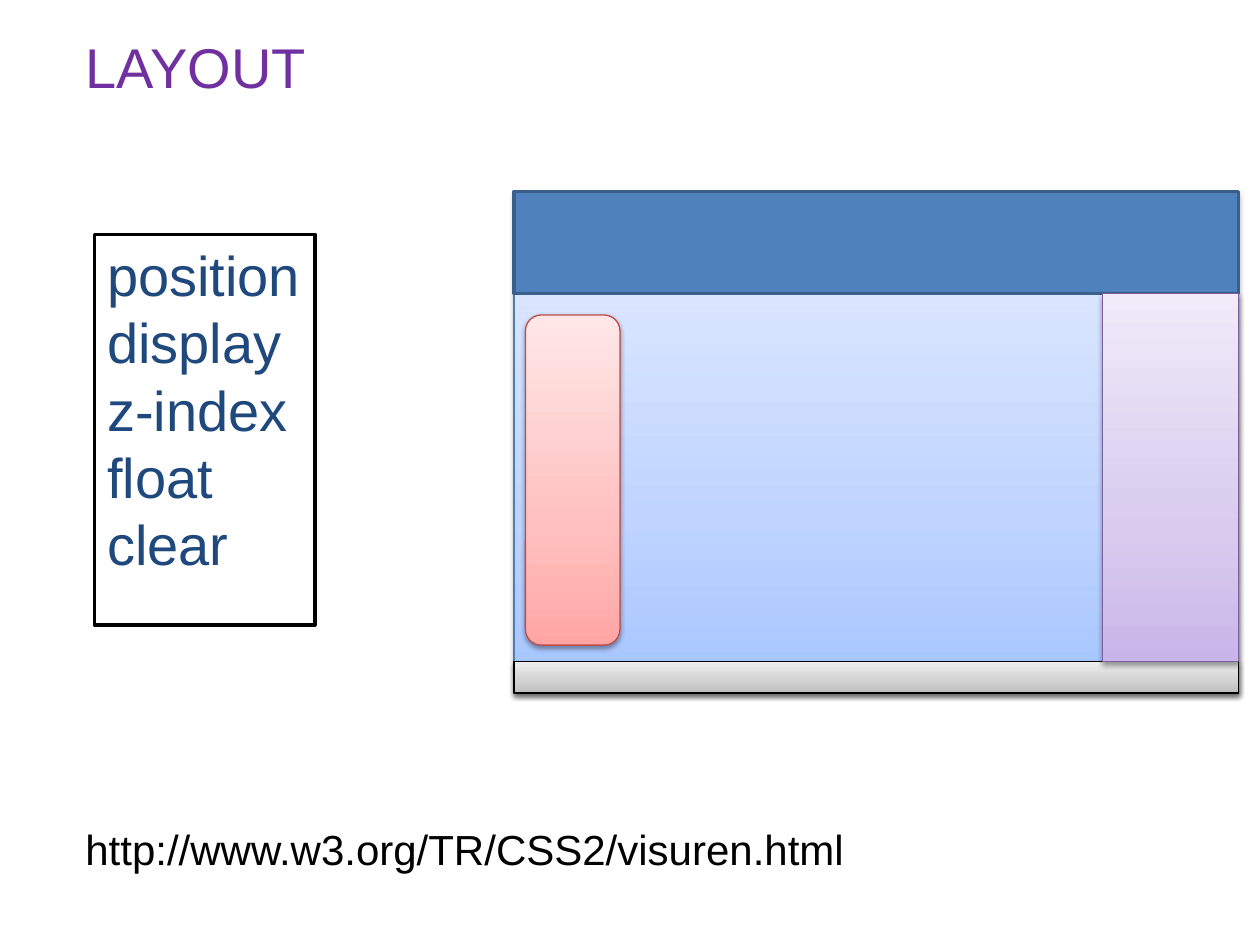
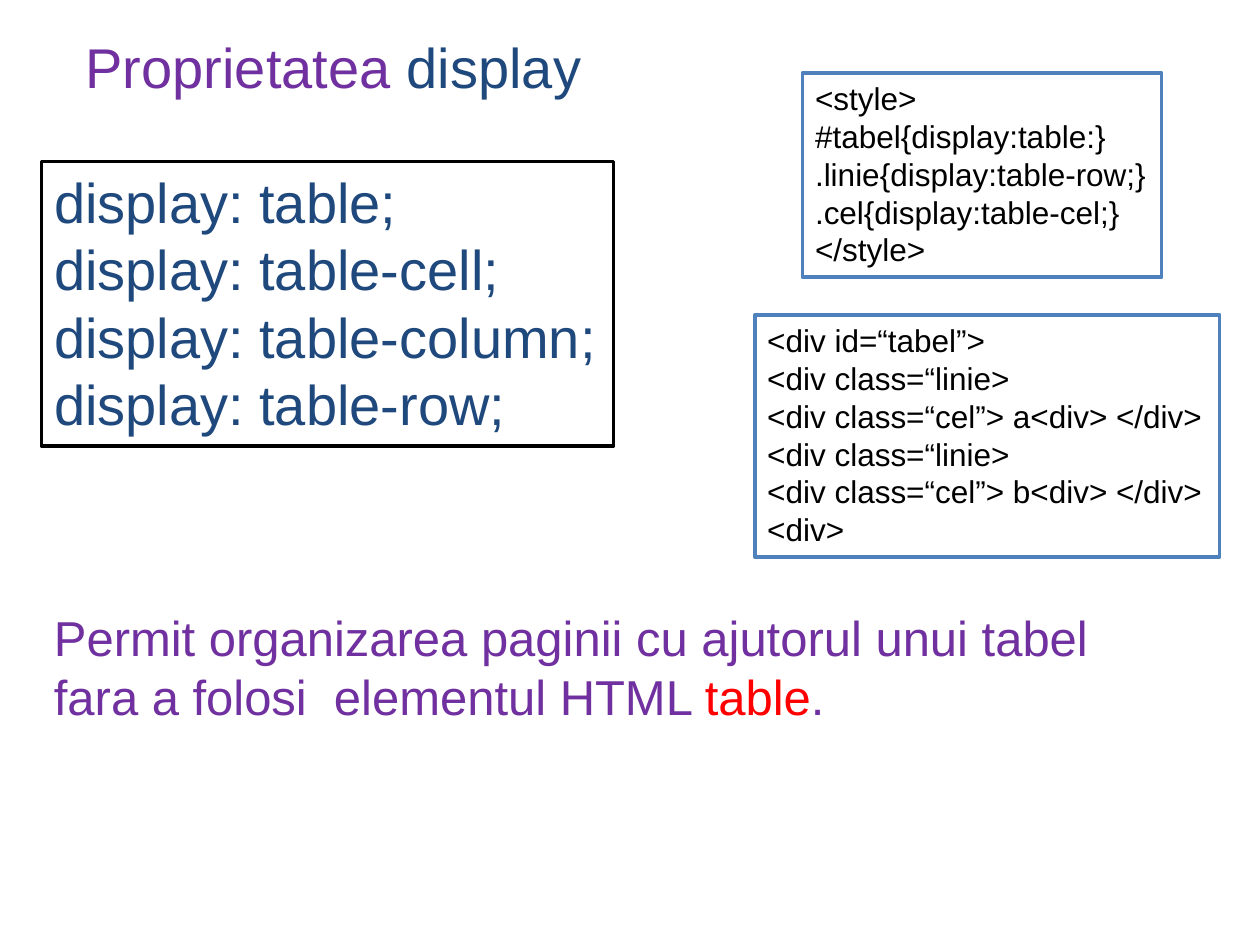
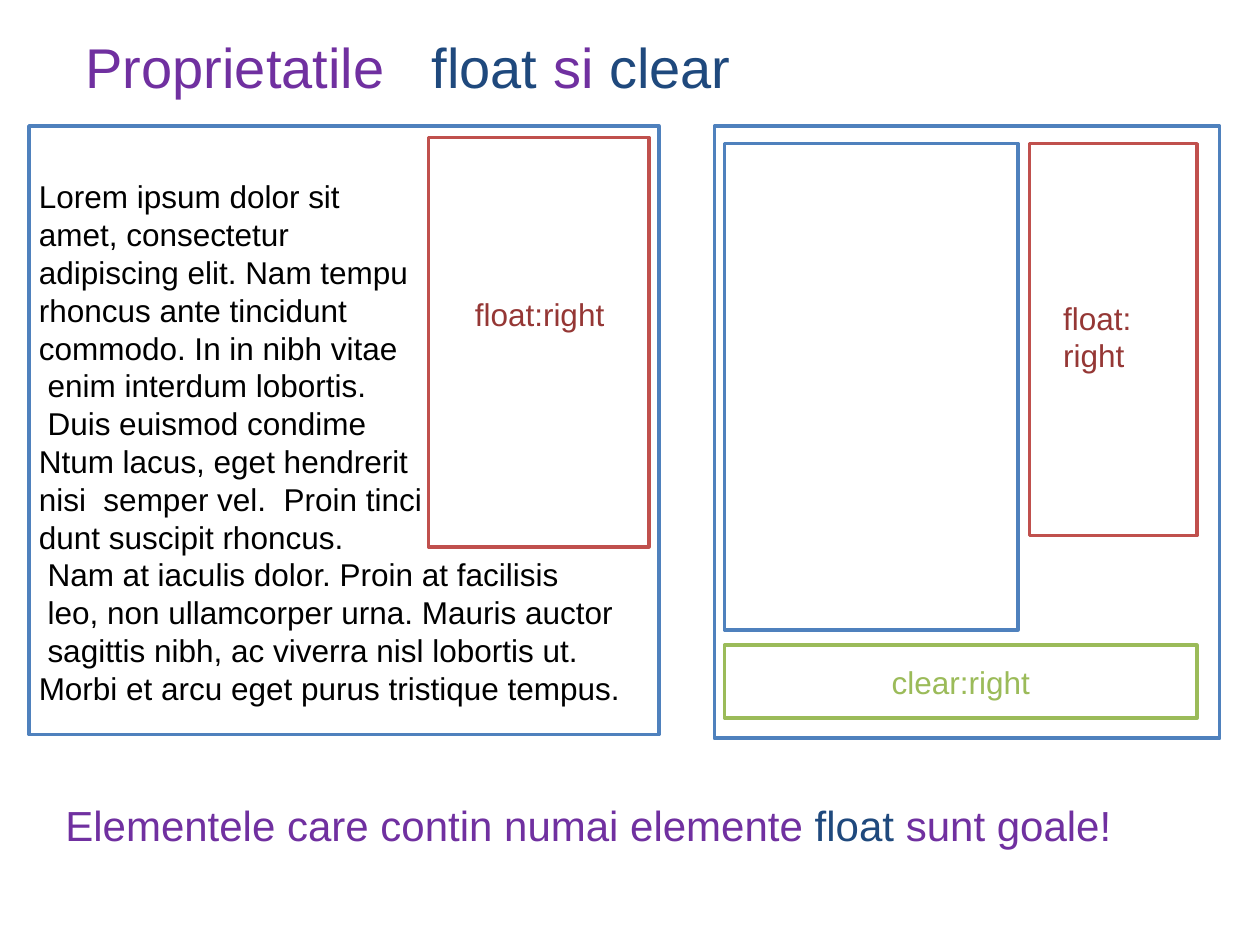
import copy
import typing

import lxml.etree
import pptx
import pptx.dml.color
import pptx.enum.shapes
import pptx.enum.text
import pptx.oxml.ns
import pptx.presentation
import pptx.shapes.autoshape
import pptx.slide
import pptx.text.text
import pptx.util

Inches = pptx.util.Inches
Color = pptx.dml.color.RGBColor
Shape = pptx.shapes.autoshape.Shape
Page = pptx.slide.Slide
Geometry = pptx.enum.shapes.MSO_SHAPE
Align = pptx.enum.text.PP_ALIGN
Anchor = pptx.enum.text.MSO_ANCHOR
qn = pptx.oxml.ns.qn

FONT = "Arial"
BLACK = Color(0x00, 0x00, 0x00)
WHITE = Color(0xFF, 0xFF, 0xFF)
PURPLE = Color(0x70, 0x30, 0xA0)
NAVY = Color(0x1F, 0x49, 0x7D)
BLUE = Color(0x4F, 0x81, 0xBD)
DARK_BLUE = Color(0x3A, 0x5F, 0x8C)
EDGE_BLUE = Color(0x4B, 0x7E, 0xBC)
RED = Color(0xFF, 0x00, 0x00)
BRICK = Color(0xC0, 0x50, 0x4D)
EDGE_BRICK = Color(0xBF, 0x4C, 0x48)
DARK_BRICK = Color(0x95, 0x37, 0x35)
EDGE_PURPLE = Color(0x7D, 0x60, 0xA0)
GREEN = Color(0x9B, 0xBB, 0x59)

# Gradient colours from bottom to top, at the positions in GRADIENT_POSITIONS.
GRADIENT_POSITIONS = (0, 0.35, 1)
BLUE_FADE = (Color(0xA4, 0xC4, 0xFF), Color(0xBF, 0xD4, 0xFF), Color(0xE6, 0xEE, 0xFF))
GRAY_FADE = (Color(0xBD, 0xBD, 0xBD), Color(0xD1, 0xD1, 0xD1), Color(0xEE, 0xEE, 0xEE))
RED_FADE = (Color(0xFF, 0xA6, 0xA5), Color(0xFF, 0xC0, 0xBF), Color(0xFF, 0xE7, 0xE7))
PURPLE_FADE = (Color(0xC9, 0xB5, 0xE8), Color(0xD8, 0xCB, 0xEE), Color(0xF0, 0xEA, 0xF9))


class Area(typing.NamedTuple):
    """Left, top, width and height in inches."""
    left: float
    top: float
    width: float
    height: float


class Span(typing.NamedTuple):
    text: str
    color: Color


class Region(typing.NamedTuple):
    """One block of the page layout sketch."""
    area: Area
    fade: tuple[Color, ...]
    edge: Color
    geometry: Geometry = Geometry.RECTANGLE


Line = str | list[Span]

TITLE_AREA = Area(0.58, 0.21, 8.08, 0.7)


def place(shape: Shape, area: Area) -> None:
    shape.left, shape.top, shape.width, shape.height = map(Inches, area)


def outline(shape: Shape, color: Color, width: float = 2) -> None:
    shape.line.color.rgb = color
    shape.line.width = pptx.util.Pt(width)


def write(frame: pptx.text.text.TextFrame, lines: list[Line], *, size: int,
          color: Color = BLACK, align: Align = Align.LEFT,
          anchor: Anchor = Anchor.TOP) -> None:
    """Fill the frame with one paragraph a line."""
    frame.word_wrap = True
    frame.auto_size = pptx.enum.text.MSO_AUTO_SIZE.NONE
    frame.vertical_anchor = anchor
    for index, line in enumerate(lines):
        para = frame.add_paragraph() if index else frame.paragraphs[0]
        para.alignment = align
        para.space_before = pptx.util.Pt(0)
        for span in [Span(line, color)] if isinstance(line, str) else line:
            run = para.add_run()
            run.text = span.text
            run.font.name = FONT
            run.font.size = pptx.util.Pt(size)
            run.font.color.rgb = span.color


def add_text(page: Page, area: Area, lines: list[Line], *,
             edge: Color | None = None, **text_format: typing.Any) -> None:
    """Add a text box, on white with an outline if an edge colour is given."""
    box = page.shapes.add_textbox(*map(Inches, area))
    if edge is not None:
        box.fill.solid()
        box.fill.fore_color.rgb = WHITE
        outline(box, edge)
    write(box.text_frame, lines, **text_format)


def add_rectangle(page: Page, area: Area, edge: Color, fill: Color = WHITE) -> None:
    box = page.shapes.add_shape(Geometry.RECTANGLE, *map(Inches, area))
    box.shadow.inherit = False
    box.fill.solid()
    box.fill.fore_color.rgb = fill
    outline(box, edge)


def add_region(page: Page, region: Region) -> None:
    """Add a gradient block with a soft shadow below it."""
    box = page.shapes.add_shape(region.geometry, *map(Inches, region.area))
    box.fill.gradient()
    box.fill.gradient_angle = 90
    stop_list = box._element.spPr.find(".//" + qn("a:gsLst"))
    stop_list.append(copy.deepcopy(stop_list[-1]))
    for stop, position, color in zip(box.fill.gradient_stops, GRADIENT_POSITIONS, region.fade):
        stop.position = position
        stop.color.rgb = color
    outline(box, region.edge, 0.75)
    box.shadow.inherit = False
    effects = box._element.spPr.find(qn("a:effectLst"))
    shadow = lxml.etree.SubElement(
        effects, qn("a:outerShdw"), blurRad=str(pptx.util.Pt(3.1)),
        dist=str(pptx.util.Pt(1.6)), dir="5400000", rotWithShape="0")
    shade = lxml.etree.SubElement(shadow, qn("a:srgbClr"), val=str(BLACK))
    lxml.etree.SubElement(shade, qn("a:alpha"), val="38000")


def add_page(deck: pptx.presentation.Presentation, layout: str, title: Line) -> Page:
    page = deck.slides.add_slide(deck.slide_layouts.get_by_name(layout))
    place(page.shapes.title, TITLE_AREA)
    write(page.shapes.title.text_frame, [title], size=32, color=PURPLE)
    return page


def fill_property_list(page: Page, area: Area, properties: list[Line]) -> None:
    """Turn the body placeholder into an outlined list without bullets."""
    body = page.placeholders[1]
    place(body, area)
    body.fill.solid()
    body.fill.fore_color.rgb = WHITE
    outline(body, BLACK)
    write(body.text_frame, properties, size=32, color=NAVY)
    for para in body.text_frame.paragraphs:
        settings = para._p.get_or_add_pPr()
        settings.set("marL", "0")
        settings.set("indent", "0")
        lxml.etree.SubElement(settings, qn("a:buNone"))


def build_layout_page(deck: pptx.presentation.Presentation) -> None:
    page = add_page(deck, "Title and Content", "LAYOUT")
    fill_property_list(page, Area(0.75, 1.86, 1.75, 3.1),
                       ["position", "display", "z-index", "float", "clear"])
    add_region(page, Region(Area(4.08, 1.52, 5.75, 3.98), BLUE_FADE, EDGE_BLUE))
    add_rectangle(page, Area(4.08, 1.52, 5.75, 0.81), DARK_BLUE, BLUE)
    for region in (
        Region(Area(4.08, 5.25, 5.75, 0.25), GRAY_FADE, BLACK),
        Region(Area(4.17, 2.5, 0.75, 2.62), RED_FADE, EDGE_BRICK, Geometry.ROUNDED_RECTANGLE),
        Region(Area(8.75, 2.33, 1.08, 2.92), PURPLE_FADE, EDGE_PURPLE),
    ):
        add_region(page, region)
    add_text(page, Area(0.58, 6.49, 6.47, 0.5),
             ["http://www.w3.org/TR/CSS2/visuren.html"], size=24)


def build_display_page(deck: pptx.presentation.Presentation) -> None:
    page = add_page(deck, "Title and Content",
                    [Span("Proprietatea ", PURPLE), Span("display", NAVY)])
    values = ("table", "table-cell", "table-column", "table-row")
    fill_property_list(page, Area(0.33, 1.28, 4.54, 2.26),
                       [f"display: {value};" for value in values])
    add_text(page, Area(0.33, 4.77, 8.63, 1.04), [
        "Permit organizarea paginii cu ajutorul unui tabel",
        [Span("fara a folosi  elementul HTML ", PURPLE), Span("table", RED), Span(".", PURPLE)],
    ], size=28, color=PURPLE)
    add_text(page, Area(5.99, 2.5, 3.69, 1.92), [
        "<div id=“tabel”>",
        "<div class=“linie>",
        "<div class=“cel”> a<div> </div>",
        "<div class=“linie>",
        "<div class=“cel”> b<div> </div>",
        "<div>",
    ], size=18, edge=BLUE)
    add_text(page, Area(6.37, 0.58, 2.85, 1.62), [
        "<style>",
        "#tabel{display:table:}",
        ".linie{display:table-row;}",
        ".cel{display:table-cel;}",
        "</style>",
    ], size=18, edge=BLUE)


def build_float_page(deck: pptx.presentation.Presentation) -> None:
    page = add_page(deck, "Title Only", [
        Span("Proprietatile   ", PURPLE), Span("float ", NAVY),
        Span("si ", PURPLE), Span("clear", NAVY),
    ])
    for area, edge in (
        (Area(0.23, 1, 5, 4.83), BLUE),
        (Area(3.4, 1.09, 1.75, 3.25), BRICK),
        (Area(5.67, 1, 4.01, 4.86), BLUE),
        (Area(8.17, 1.14, 1.33, 3.11), BRICK),
        (Area(5.75, 1.14, 2.33, 3.86), BLUE),
    ):
        add_rectangle(page, area, edge)
    add_text(page, Area(0.21, 1.36, 4.93, 4.34), [
        "Lorem ipsum dolor sit",
        "amet, consectetur",
        "adipiscing elit. Nam tempu",
        "rhoncus ante tincidunt",
        "commodo. In in nibh vitae",
        " enim interdum lobortis.",
        " Duis euismod condime",
        "Ntum lacus, eget hendrerit",
        "nisi  semper vel.  Proin tinci",
        "dunt suscipit rhoncus.",
        " Nam at iaculis dolor. Proin at facilisis",
        " leo, non ullamcorper urna. Mauris auctor",
        " sagittis nibh, ac viverra nisl lobortis ut.",
        "Morbi et arcu eget purus tristique tempus.",
    ], size=18)
    add_text(page, Area(3.67, 2.29, 1.3, 0.4), ["float:right"], size=18, color=DARK_BRICK)
    add_text(page, Area(8.34, 2.32, 0.8, 0.71), ["float:", "right"], size=18, color=DARK_BRICK)
    add_text(page, Area(5.75, 5.12, 3.75, 0.58), ["clear:right"], size=18, color=GREEN,
             edge=GREEN, align=Align.CENTER, anchor=Anchor.MIDDLE)
    add_text(page, Area(0.42, 6.3, 8.59, 0.5), [[
        Span("Elementele care contin numai elemente ", PURPLE),
        Span("float ", NAVY), Span("sunt goale!", PURPLE),
    ]], size=24)


def main() -> None:
    deck = pptx.Presentation()
    deck.slide_width, deck.slide_height = Inches(10), Inches(7.5)
    build_layout_page(deck)
    build_display_page(deck)
    build_float_page(deck)
    deck.save("out.pptx")


if __name__ == "__main__":
    main()
